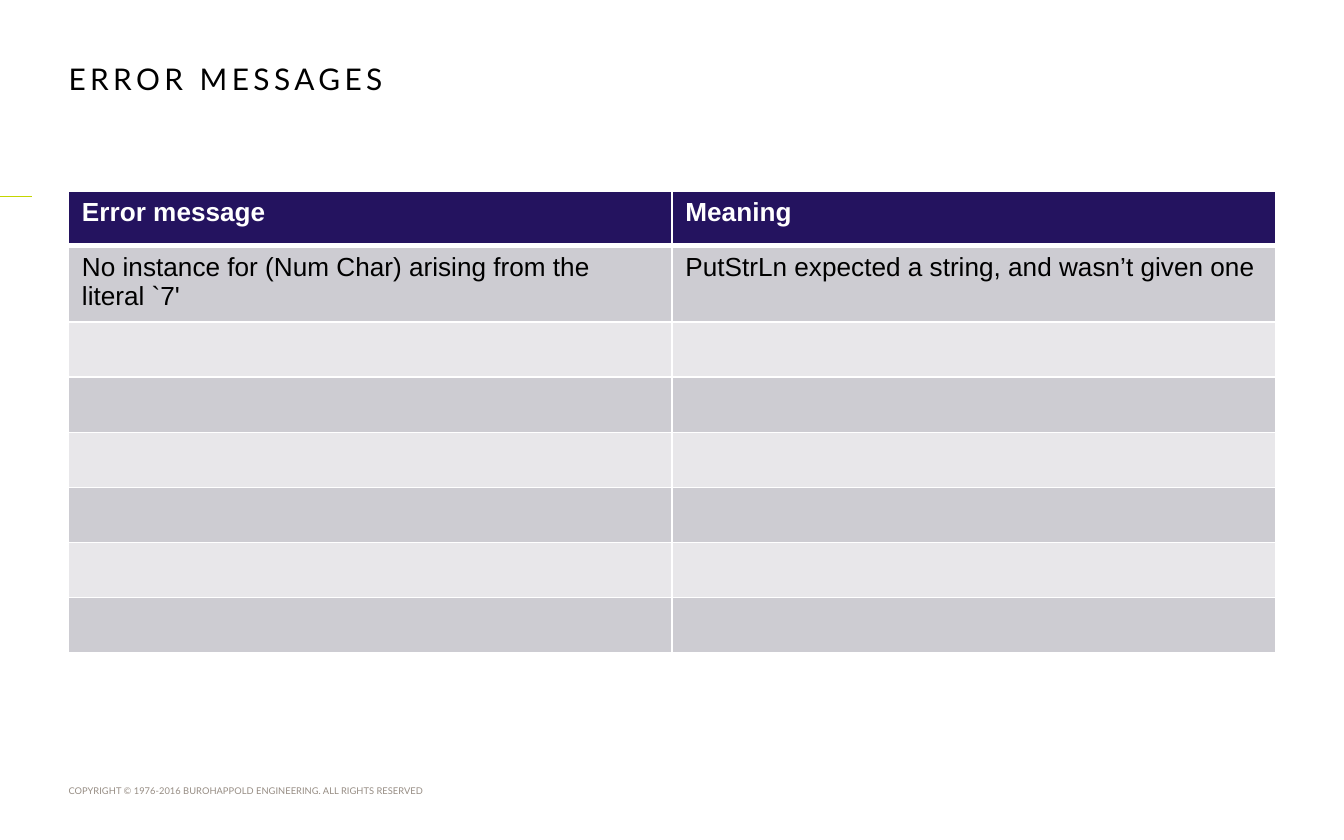
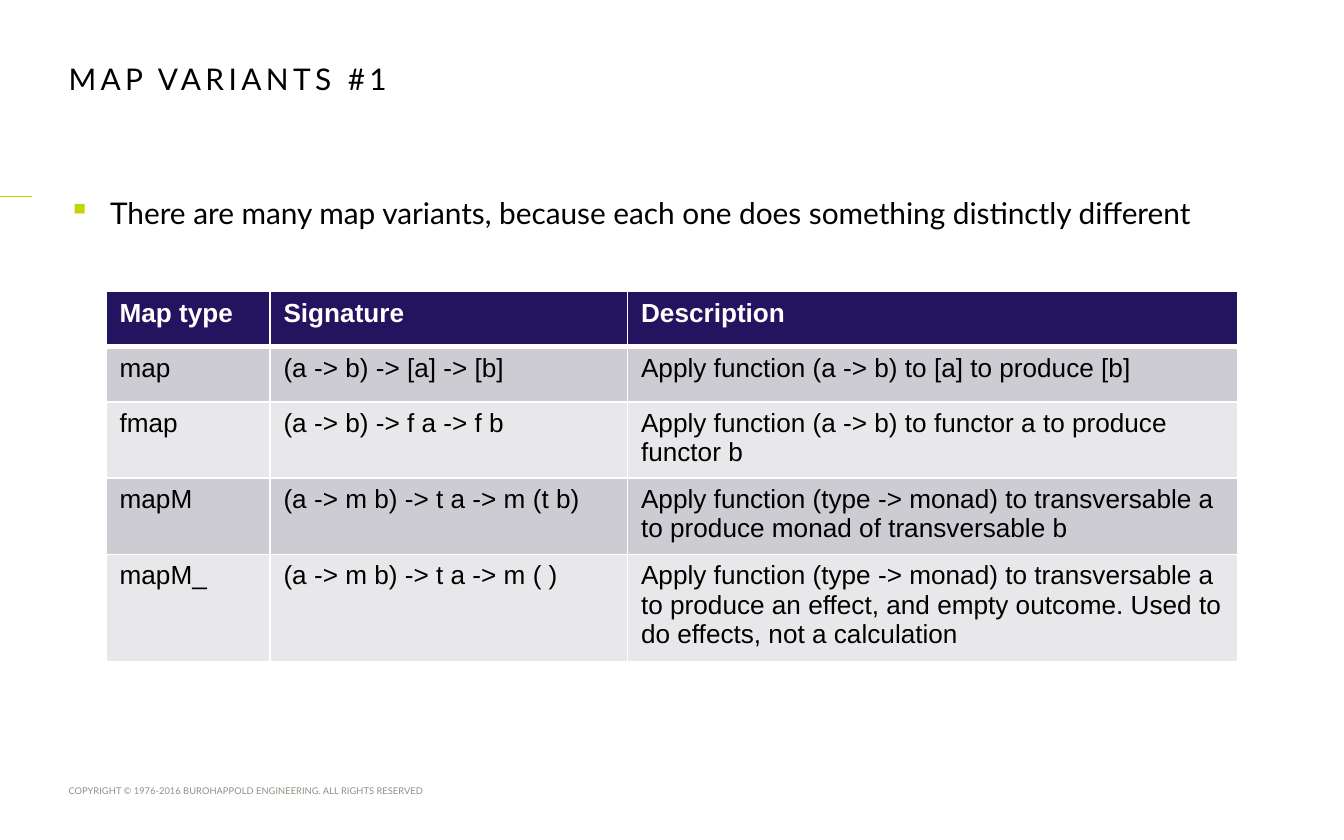
from lxml.etree import SubElement
from pptx import Presentation
from pptx.dml.color import RGBColor
from pptx.enum.shapes import MSO_CONNECTOR
from pptx.oxml.ns import qn
from pptx.util import Inches, Pt

WIDTH, HEIGHT = 10, 6.25
MARGIN = 0.51
CONTENT_TOP = 1.42
CONTENT_WIDTH = 8.98
ROW_HEIGHT = 0.41

BLACK, WHITE = "000000", "FFFFFF"
NAVY, LIME, STONE = "24135F", "C4D600", "968C83"
BANDS = ("CDCCD2", "E8E7EA")

COPYRIGHT = "COPYRIGHT © 1976-2016 BUROHAPPOLD ENGINEERING. ALL RIGHTS RESERVED"

SLIDES = [
    {
        "title": "ERROR MESSAGES",
        "table_at": (MARGIN, CONTENT_TOP),
        "columns": (CONTENT_WIDTH / 2, CONTENT_WIDTH / 2),
        "rows": [
            ("Error message", "Meaning"),
            ("No instance for (Num Char) arising from the literal `7'",
             "PutStrLn expected a string, and wasn’t given one"),
        ] + [("", "")] * 6,
    },
    {
        "title": "MAP VARIANTS #1",
        "bullet": "There are many map variants, because each one does "
                  "something distinctly different",
        "table_at": (0.79, 2.17),
        "columns": (1.22, 2.66, 4.54),
        "rows": [
            ("Map type", "Signature", "Description"),
            ("map", "(a -> b) -> [a] -> [b]",
             "Apply function (a -> b) to [a] to produce [b]"),
            ("fmap", "(a -> b) -> f a -> f b",
             "Apply function (a -> b) to functor a to produce functor b"),
            ("mapM", "(a -> m b) -> t a -> m (t b)",
             "Apply function (type -> monad) to transversable a to produce "
             "monad of transversable b"),
            ("mapM_", "(a -> m b) -> t a -> m ( )",
             "Apply function (type -> monad) to transversable a to produce an "
             "effect, and empty outcome. Used to do effects, not a calculation"),
        ],
    },
]


def rgb(code):
    return RGBColor.from_string(code)


def style(font, size, color, name="Lato", bold=False):
    font.name, font.size, font.bold = name, Pt(size), bold
    font.color.rgb = rgb(color)


def add_text(slide, text, box, size, color=BLACK, bottom_inset=0):
    """Add a one-paragraph text box and return its paragraph."""
    frame = slide.shapes.add_textbox(*map(Inches, box)).text_frame
    frame.word_wrap = True
    frame.margin_left = frame.margin_top = frame.margin_right = 0
    frame.margin_bottom = Inches(bottom_inset)
    frame.text = text
    paragraph = frame.paragraphs[0]
    style(paragraph.runs[0].font, size, color)
    return paragraph


def add_frame(slide, title):
    """Add what every slide shares: footer, side rule and title."""
    add_text(slide, COPYRIGHT, (MARGIN, 5.84, 3.15, 0.08), 5, STONE)
    rule = slide.shapes.add_connector(
        MSO_CONNECTOR.STRAIGHT, 0, Inches(1.46), Inches(0.24), Inches(1.46))
    rule.line.color.rgb = rgb(LIME)
    rule.line.width = Pt(0.5)
    SubElement(rule.element.spPr, qn("a:effectLst"))
    heading = add_text(slide, title, (MARGIN, 0.45, 5.98, 0.81), 16)
    heading.runs[0].font._element.set("spc", "240")


def add_bullet(slide, text):
    paragraph = add_text(slide, text, (MARGIN, CONTENT_TOP, CONTENT_WIDTH, 4.07),
                         16, bottom_inset=0.12)
    paragraph.line_spacing = Pt(21)
    paragraph.space_after = Pt(4)
    properties = paragraph._p.get_or_add_pPr()
    indent = Inches(0.31)
    properties.set("marL", str(indent))
    properties.set("indent", str(-indent))
    color = SubElement(properties, qn("a:buClr"))
    SubElement(color, qn("a:srgbClr"), val=LIME)
    SubElement(properties, qn("a:buChar"), char="▪")


def add_borders(cell, row):
    """Draw thin white borders, with a thick one under the header row."""
    properties = cell._tc.get_or_add_tcPr()
    widths = {"L": 1, "R": 1, "T": 3 if row == 1 else 1, "B": 3 if row == 0 else 1}
    for side, width in widths.items():
        border = SubElement(properties, qn(f"a:ln{side}"), w=str(Pt(width)))
        fill = SubElement(border, qn("a:solidFill"))
        SubElement(fill, qn("a:srgbClr"), val=WHITE)


def add_grid(slide, rows, columns, corner):
    size = (sum(columns), ROW_HEIGHT * len(rows))
    table = slide.shapes.add_table(
        len(rows), len(columns), *map(Inches, corner + size)).table
    table.horz_banding = False
    for column, width in zip(table.columns, columns):
        column.width = Inches(width)
    for r, texts in enumerate(rows):
        header = r == 0
        table.rows[r].height = Inches(ROW_HEIGHT)
        for c, text in enumerate(texts):
            cell = table.cell(r, c)
            add_borders(cell, r)
            cell.fill.solid()
            cell.fill.fore_color.rgb = rgb(NAVY if header else BANDS[(r - 1) % 2])
            if text:
                cell.text = text
                style(cell.text_frame.paragraphs[0].runs[0].font, 14,
                      WHITE if header else BLACK, "Arial", header)


def main():
    deck = Presentation()
    deck.slide_width, deck.slide_height = Inches(WIDTH), Inches(HEIGHT)
    for content in SLIDES:
        slide = deck.slides.add_slide(deck.slide_layouts[6])
        add_frame(slide, content["title"])
        if "bullet" in content:
            add_bullet(slide, content["bullet"])
        add_grid(slide, content["rows"], content["columns"], content["table_at"])
    deck.save("out.pptx")


if __name__ == "__main__":
    main()
